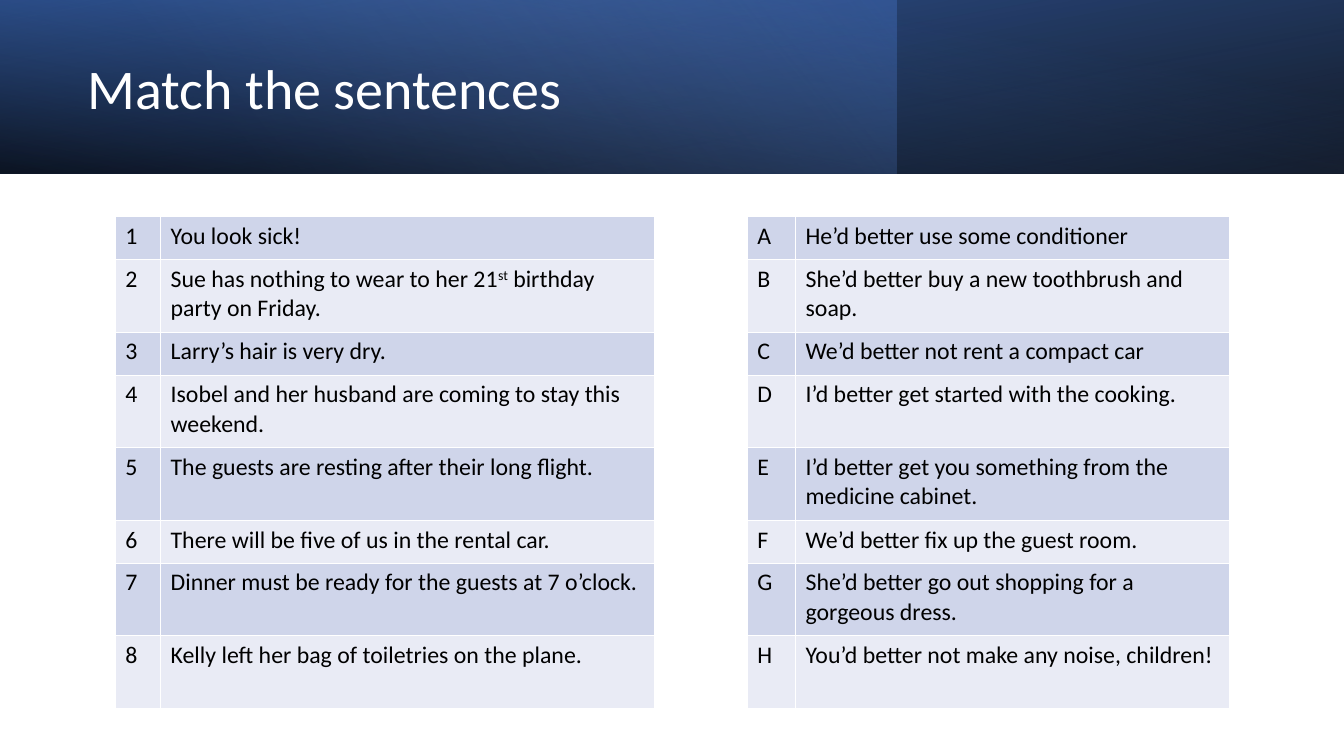
from pptx import Presentation, util as u
from pptx.dml.color import RGBColor
from pptx.enum import shapes, text
from pptx.oxml import parse_xml
from pptx.oxml.ns import nsdecls

LEFT = [
    ["You look sick!"],
    ["Sue has nothing to wear to her 21", "^st", " birthday party on Friday."],
    ["Larry’s hair is very dry."],
    ["Isobel and her husband are coming to stay this weekend."],
    ["The guests are resting after their long flight."],
    ["There will be five of us in the rental car."],
    ["Dinner must be ready for the guests at 7 o’clock."],
    ["Kelly left her bag of toiletries on the plane."],
]
RIGHT = [
    ["He’d better use some conditioner"],
    ["She’d better buy a new toothbrush and soap."],
    ["We’d better not rent a compact car"],
    ["I’d better get started with the cooking."],
    ["I’d better get you something from the medicine cabinet."],
    ["We’d better fix up the guest room."],
    ["She’d better go out shopping for a gorgeous dress."],
    ["You’d better not make any noise, children!"],
]
WIDTHS = [1.35, 14.7, 2.76, 1.44, 12.93]
SHORT, TALL = 1.28, 2.16
HEIGHTS = [SHORT, TALL, SHORT, TALL, TALL, SHORT, TALL, TALL]


def color(code):
    return RGBColor.from_string(code)


class Deck:
    """Draws styled elements on one slide, measured on a 40 by 22.5 grid."""

    font = "Calibri"
    ink, paper = "000000", "FFFFFF"
    bands = ["CFD5EA", "E9EBF5"]

    def __init__(self):
        self.prs = Presentation()
        self.prs.slide_width = u.Inches(13.33)
        self.prs.slide_height = u.Inches(7.5)
        self.slide = self.prs.slides.add_slide(self.prs.slide_layouts[5])

    def grid(self, *units):
        return [round(n * self.prs.slide_width / 40) for n in units]

    def run(self, para, words, size, code):
        run = para.add_run()
        run.text = words.lstrip("^")
        run.font.name, run.font.size = self.font, u.Pt(size)
        run.font.color.rgb = color(code)
        if words.startswith("^"):
            run._r.get_or_add_rPr().set("baseline", "30000")

    def band(self, width, stops, angle, turn=0, flip=False):
        box = self.slide.shapes.add_shape(
            shapes.MSO_SHAPE.RECTANGLE, *self.grid(0, 0, width, 5.16))
        marks = "".join(
            f'<a:gs pos="{pos * 1000}"><a:srgbClr val="{code}">'
            f'<a:alpha val="{alpha * 1000}"/></a:srgbClr></a:gs>'
            for pos, code, alpha in stops)
        props = box._element.spPr
        props.insert(2, parse_xml(
            f'<a:gradFill {nsdecls("a")} rotWithShape="1"><a:gsLst>{marks}</a:gsLst>'
            f'<a:lin ang="{angle * 60000}" scaled="0"/></a:gradFill>'))
        box.line.fill.background()
        box.shadow.inherit = False
        box.rotation = turn
        if flip:
            props.xfrm.set("flipH", "1")

    def title(self, words, *place):
        head = self.slide.shapes.title
        self.slide.shapes._spTree.append(head._element)
        head.left, head.top, head.width, head.height = self.grid(*place)
        frame = head.text_frame
        frame.word_wrap = True
        frame.vertical_anchor = text.MSO_ANCHOR.MIDDLE
        para = frame.paragraphs[0]
        para.alignment, para.line_spacing = text.PP_ALIGN.LEFT, 0.9
        self.run(para, words, 40, self.paper)

    def cell(self, cell, runs, fill):
        for side in "BTRL":
            cell._tc.get_or_add_tcPr().insert(0, parse_xml(
                f'<a:ln{side} {nsdecls("a")} w="12700"><a:solidFill>'
                f'<a:srgbClr val="{self.paper}"/></a:solidFill></a:ln{side}>'))
        if not runs:
            cell.fill.background()
            return
        cell.fill.solid()
        cell.fill.fore_color.rgb = color(fill)
        for words in runs:
            self.run(cell.text_frame.paragraphs[0], words, 17, self.ink)

    def table(self, rows, left, top):
        place = self.grid(left, top, sum(WIDTHS), sum(HEIGHTS))
        table = self.slide.shapes.add_table(len(rows), len(WIDTHS), *place).table
        table.first_row = table.horz_banding = False
        for col, width in zip(table.columns, self.grid(*WIDTHS)):
            col.width = width
        for row, height in zip(table.rows, self.grid(*HEIGHTS)):
            row.height = height
        for i, row in enumerate(rows):
            for j, runs in enumerate(row):
                self.cell(table.cell(i, j), runs, self.bands[i % 2])


def main():
    deck = Deck()
    deck.band(40, [(0, "000000", 96), (100, "2F5597", 100)], 100, 180, True)
    deck.band(26.67, [(0, "4472C4", 41), (74, "8FAADC", 0)], 140)
    deck.band(40, [(0, "000000", 63), (78, "4472C4", 15)], 260, flip=True)
    deck.title("Match the sentences", 2.31, 0.81, 23.16, 3.81)
    rows = [[[str(n)], left, [], [mark], right]
            for n, (left, mark, right) in enumerate(zip(LEFT, "ABCDEFGH", RIGHT), 1)]
    deck.table(rows, 3.43, 6.45)
    deck.prs.save("out.pptx")


if __name__ == "__main__":
    main()
